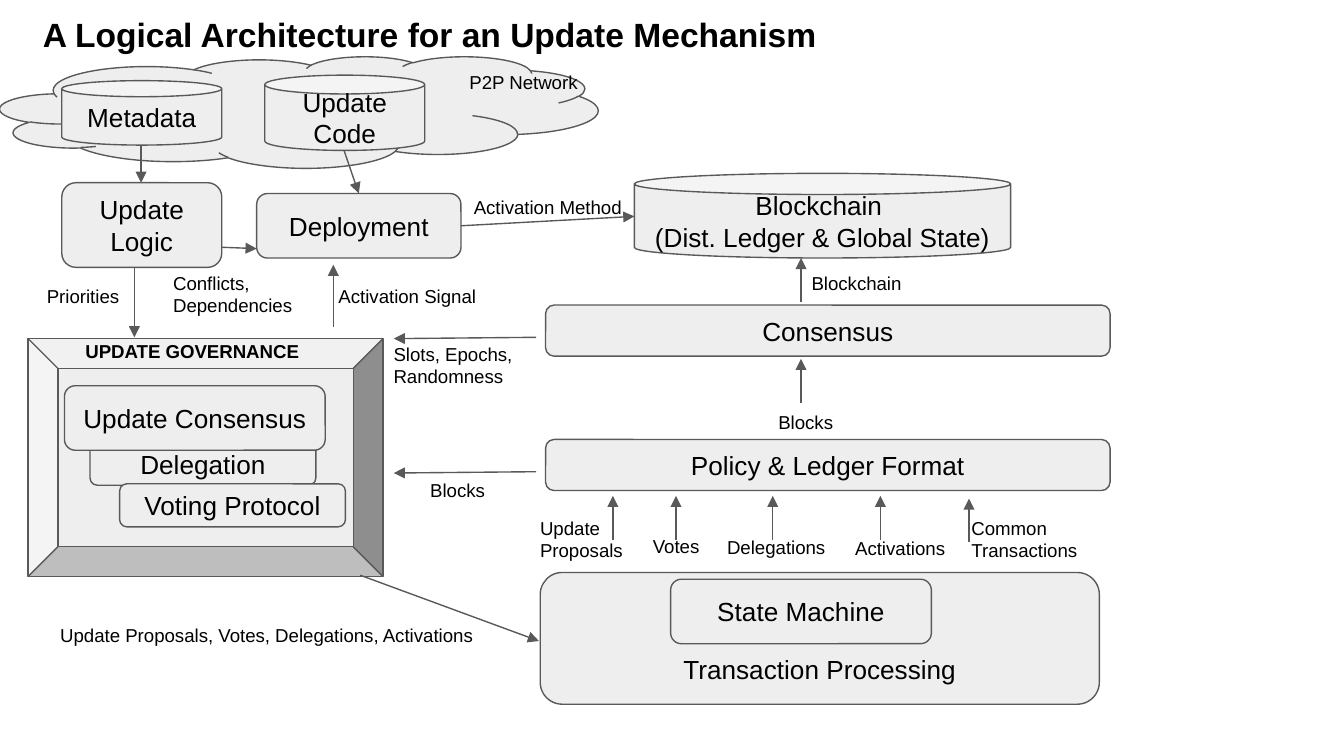
import pptx
import pptx.util
from lxml import etree
from pptx.dml.color import RGBColor
from pptx.enum.shapes import MSO_CONNECTOR, MSO_SHAPE
from pptx.enum.text import MSO_ANCHOR, MSO_AUTO_SIZE, PP_ALIGN
from pptx.oxml.ns import qn
from pptx.util import Inches

COLOURS = {"fill": "EEEEEE", "line": "595959", "text": "000000"}
LEFT, CENTRE, RIGHT = PP_ALIGN.LEFT, PP_ALIGN.CENTER, PP_ALIGN.RIGHT
TOP, MIDDLE, BOTTOM = MSO_ANCHOR.TOP, MSO_ANCHOR.MIDDLE, MSO_ANCHOR.BOTTOM
ROUND, CAN = MSO_SHAPE.ROUNDED_RECTANGLE, MSO_SHAPE.CAN


def colour(name):
    return RGBColor.from_string(COLOURS[name])


def write_text(frame, lines, size, align, anchor, bold=False):
    """Write one paragraph for each line of text."""
    frame.word_wrap = True
    frame.auto_size = MSO_AUTO_SIZE.NONE
    frame.vertical_anchor = anchor
    frame.margin_left = frame.margin_right = Inches(0.1)
    frame.margin_top = frame.margin_bottom = Inches(0.1)
    for index, line in enumerate(lines.split("\n")):
        paragraph = frame.paragraphs[0] if index == 0 else frame.add_paragraph()
        paragraph.text = line
        paragraph.alignment = align
        paragraph.font.name = "Arial"
        paragraph.font.size = pptx.util.Pt(size)
        paragraph.font.bold = bold
        paragraph.font.color.rgb = colour("text")


def add_component(slide, preset, box, name="", anchor=MIDDLE):
    """Add a grey outlined block of the architecture."""
    component = slide.shapes.add_shape(preset, *map(Inches, box))
    component.shadow.inherit = False
    component.fill.solid()
    component.fill.fore_color.rgb = colour("fill")
    component.line.color.rgb = colour("line")
    component.line.width = pptx.util.Pt(0.75)
    if name:
        write_text(component.text_frame, name, 14, CENTRE, anchor)


def add_label(slide, box, words, align=CENTRE, anchor=TOP, size=10, bold=False):
    label = slide.shapes.add_textbox(*map(Inches, box))
    write_text(label.text_frame, words, size, align, anchor, bold)


def add_arrow(slide, start, end):
    arrow = slide.shapes.add_connector(
        MSO_CONNECTOR.STRAIGHT, *map(Inches, (*start, *end)))
    arrow.line.color.rgb = colour("line")
    arrow.line.width = pptx.util.Pt(0.75)
    outline = arrow._element.spPr.find(qn("a:ln"))
    etree.SubElement(outline, qn("a:tailEnd"), type="triangle")
    etree.SubElement(arrow._element.spPr, qn("a:effectLst"))


def add_components(slide):
    add_component(slide, MSO_SHAPE.BEVEL, (0.21, 2.52, 2.64, 1.77))
    add_component(slide, MSO_SHAPE.CLOUD, (0, 0.42, 4.45, 0.83))
    add_component(slide, ROUND, (4.02, 4.26, 4.16, 0.98),
                  "Transaction Processing", BOTTOM)
    for preset, box, name in (
        (ROUND, (0.67, 3.29, 1.68, 0.32), "Delegation"),
        (ROUND, (0.89, 3.6, 1.68, 0.32), "Voting Protocol"),
        (ROUND, (0.48, 2.87, 1.94, 0.48), "Update Consensus"),
        (ROUND, (4.99, 4.31, 1.94, 0.48), "State Machine"),
        (ROUND, (4.06, 2.27, 4.2, 0.38), "Consensus"),
        (ROUND, (4.06, 3.27, 4.2, 0.38), "Policy & Ledger Format"),
        (ROUND, (0.46, 1.36, 1.19, 0.63), "Update\nLogic"),
        (ROUND, (1.91, 1.44, 1.52, 0.48), "Deployment"),
        (CAN, (0.46, 0.6, 1.19, 0.48), "Metadata"),
        (CAN, (1.97, 0.56, 1.19, 0.56), "Update Code"),
        (CAN, (4.72, 1.29, 2.8, 0.63),
         "Blockchain \n(Dist. Ledger & Global State)"),
    ):
        add_component(slide, preset, box, name)


def add_labels(slide):
    add_label(slide, (0.22, 0, 8.9, 0.48),
              "A Logical Architecture for an Update Mechanism", LEFT, size=18, bold=True)
    add_label(slide, (0.46, 2.43, 1.94, 0.32), "UPDATE GOVERNANCE", bold=True)
    add_label(slide, (6.18, 3.96, 0.95, 0.23), "Activations", RIGHT, MIDDLE)
    add_label(slide, (3.92, 3.85, 0.85, 0.32), "Update Proposals", LEFT, MIDDLE)
    add_label(slide, (7.13, 3.85, 1, 0.32), "Common\nTransactions", LEFT, MIDDLE)
    for left, top, width, align, words in (
        (1.19, 1.92, 2.03, LEFT, "Conflicts,\nDependencies"),
        (2.83, 2.45, 2.03, LEFT, "Slots, Epochs,\nRandomness"),
        (0.35, 4.54, 3.5, LEFT, "Update Proposals, Votes, Delegations, Activations"),
        (0.25, 2.02, 0.85, LEFT, "Priorities"),
        (5.94, 1.92, 2.03, LEFT, "Blockchain"),
        (2.42, 2.02, 1.29, LEFT, "Activation Signal"),
        (5.3, 3.89, 0.95, CENTRE, "Delegations"),
        (4.74, 3.88, 0.58, CENTRE, "Votes"),
        (5.66, 2.96, 0.67, CENTRE, "Blocks"),
        (3.07, 3.46, 0.67, CENTRE, "Blocks"),
        (3.19, 0.43, 1.41, CENTRE, "P2P Network"),
        (3.34, 1.36, 1.47, CENTRE, "Activation Method"),
    ):
        add_label(slide, (left, top, width, 0.32), words, align)


def add_arrows(slide):
    for x in (4.56, 5.03, 5.75, 6.55):  # transactions into the ledger policy
        add_arrow(slide, (x, 4.02), (x, 3.69))
    for y in (2.51, 3.51):  # consensus and policy into governance
        add_arrow(slide, (3.99, y), (2.93, y + 0.01))
    for start, end in (
        ((7.21, 4.03), (7.21, 3.71)),
        ((5.96, 3), (5.96, 2.67)),
        ((5.96, 2.25), (5.96, 1.92)),
        ((1.05, 1.08), (1.05, 1.36)),
        ((2.56, 1.12), (2.67, 1.44)),
        ((1.65, 1.84), (1.91, 1.85)),
        ((3.43, 1.68), (4.72, 1.61)),
        ((1, 1.99), (1, 2.51)),
        ((2.48, 2.43), (2.48, 1.97)),
        ((2.68, 4.28), (4.01, 4.77)),
    ):
        add_arrow(slide, start, end)


def main():
    deck = pptx.Presentation()
    deck.slide_width = Inches(10)
    deck.slide_height = deck.slide_width * 9 // 16
    slide = deck.slides.add_slide(deck.slide_layouts[6])
    add_components(slide)
    add_labels(slide)
    add_arrows(slide)
    deck.save("out.pptx")


if __name__ == "__main__":
    main()
